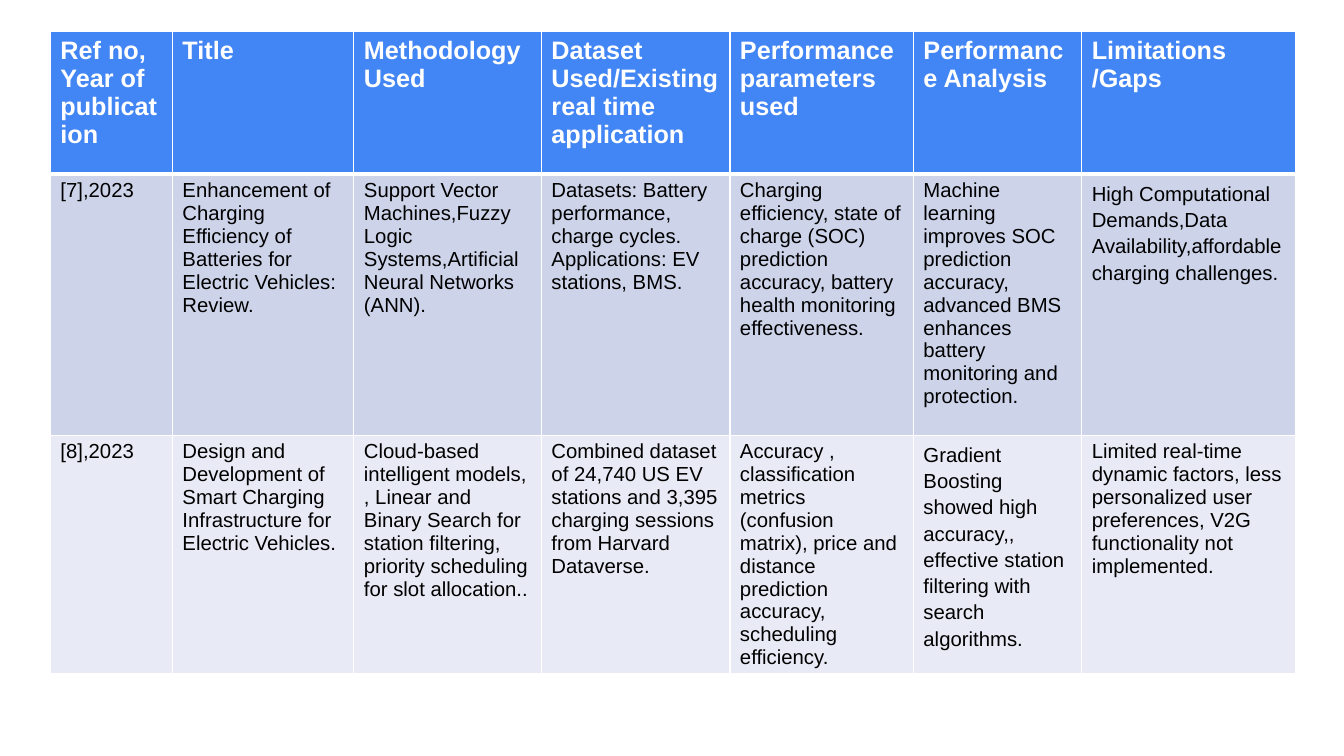
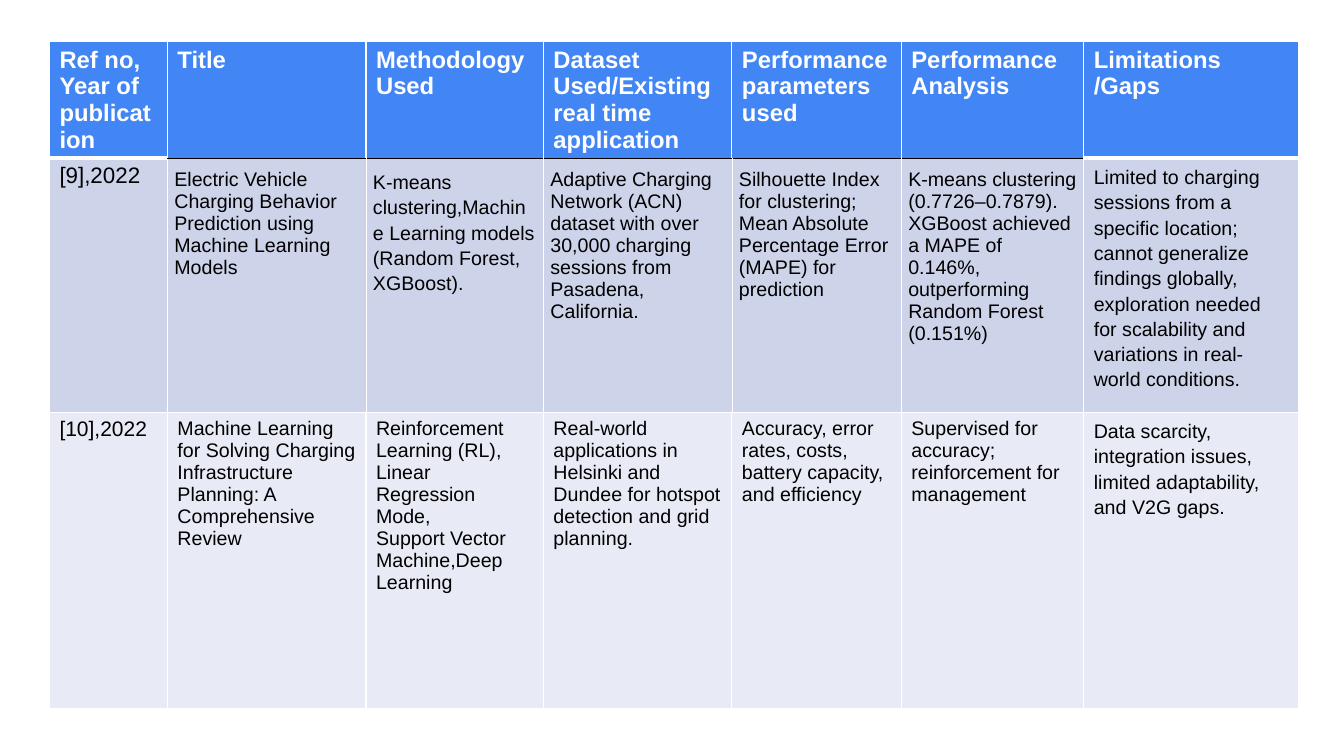
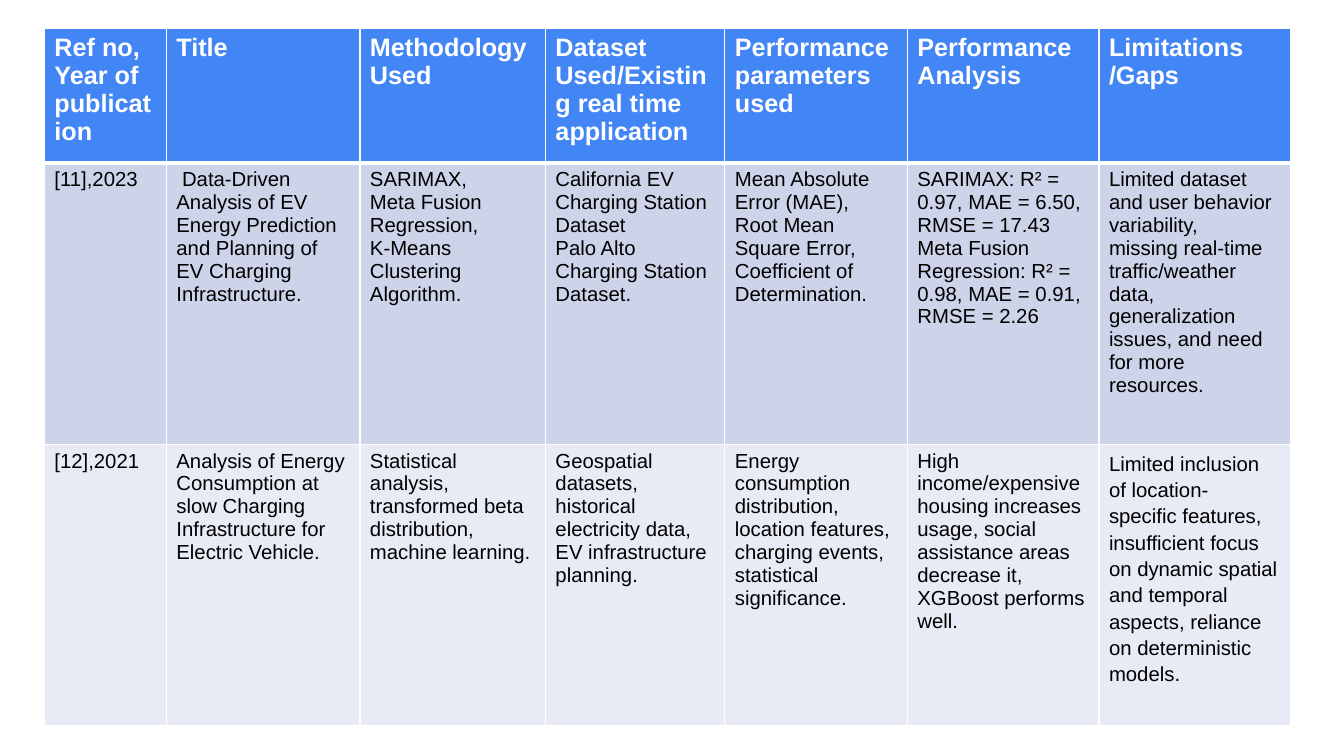
from dataclasses import dataclass

from pptx import Presentation
from pptx.dml.color import RGBColor
from pptx.oxml.ns import qn
from pptx.util import Inches, Pt
from lxml.etree import SubElement

COLORS = {
    "header": "4285F4",
    "odd_row": "CDD4EA",
    "even_row": "E8EBF5",
    "white": "FFFFFF",
    "black": "000000",
}
FONT = "Arial"
ROW_FILLS = ("header", "odd_row", "even_row")
HEADINGS = (
    "Ref no, Year of publication",
    "Title",
    "Methodology Used",
    "Dataset Used/Existing real time application",
    "Performance parameters used",
    "Performance Analysis",
    "Limitations /Gaps",
)
THIN, HAIR, THICK = ("white", 1), ("white", 0.6), ("white", 3)
DARK = ("black", 0.6)
NORMAL_INSET, PADDED_INSET = (0.1, 0.05), (0.07, 0.1)


@dataclass
class Entry:
    """Cell text, one line per paragraph, with its departures from the table style."""
    text: str
    loose: bool = False
    padded: bool = False
    size: float = 0


@dataclass
class Review:
    """One slide's table: place, grid and the papers it reviews."""
    left: float
    top: float
    columns: tuple
    rows: tuple
    heading_size: float
    body_size: float
    papers: tuple


def loose(text, padded=False):
    return Entry(text, loose=True, padded=padded)


def padded(text):
    return Entry(text, padded=True)


REVIEWS = (
    Review(
        0.5, 0.31, (1.21, 1.8, 1.86, 1.87, 1.82, 1.67, 2.12), (1.42, 2.59, 2.36), 18, 14.5,
        (
            (
                "[7],2023",
                "Enhancement of Charging Efficiency of Batteries for Electric Vehicles: Review.",
                "Support Vector Machines,Fuzzy Logic Systems,Artificial Neural Networks (ANN).",
                "Datasets: Battery performance, charge cycles.\nApplications: EV stations, BMS.",
                "Charging efficiency, state of charge (SOC) prediction accuracy, "
                "battery health monitoring effectiveness.",
                "Machine learning improves SOC prediction accuracy, advanced BMS enhances "
                "battery monitoring and protection.",
                loose("High Computational Demands,Data Availability,affordable "
                      "charging challenges."),
            ),
            (
                "[8],2023",
                "Design and Development of Smart Charging Infrastructure for Electric Vehicles.",
                "Cloud-based intelligent models, , Linear and Binary Search for station "
                "filtering, priority scheduling for slot allocation..",
                "Combined dataset of 24,740 US EV stations and 3,395 charging sessions "
                "from Harvard Dataverse.",
                "Accuracy , classification metrics (confusion matrix), price and distance "
                "prediction accuracy, scheduling efficiency.",
                loose("Gradient Boosting showed high accuracy,, effective station "
                      "filtering with search algorithms."),
                "Limited real-time dynamic factors, less personalized user preferences, "
                "V2G functionality not implemented.",
            ),
        ),
    ),
    Review(
        0.49, 0.41, (1.17, 1.97, 1.76, 1.87, 1.68, 1.81, 2.13), (1.15, 2.52, 2.94), 17, 14,
        (
            (
                Entry("[9],2022", size=16),
                padded("Electric Vehicle Charging Behavior Prediction using "
                       "Machine Learning Models"),
                loose("K-means clustering,Machine Learning models (Random Forest, XGBoost).",
                      padded=True),
                padded("Adaptive Charging Network (ACN) dataset with over 30,000 charging "
                       "sessions from Pasadena, California."),
                padded("Silhouette Index for clustering; Mean Absolute Percentage Error "
                       "(MAPE) for prediction"),
                padded("K-means clustering (0.7726–0.7879). XGBoost achieved a MAPE of "
                       "0.146%, outperforming Random Forest (0.151%)"),
                loose("Limited to charging sessions from a specific location; cannot "
                      "generalize findings globally, exploration needed for scalability "
                      "and variations in real-world conditions."),
            ),
            (
                Entry("[10],2022", size=15),
                "Machine Learning for Solving Charging Infrastructure Planning: "
                "A Comprehensive Review",
                "Reinforcement Learning (RL),\nLinear Regression Mode,\n"
                "Support Vector Machine,Deep Learning",
                "Real-world applications in Helsinki and Dundee for hotspot detection "
                "and grid planning.",
                "Accuracy, error rates, costs, battery capacity, and efficiency",
                "Supervised for accuracy; reinforcement for management",
                loose("Data scarcity, integration issues, limited adaptability, and V2G gaps."),
            ),
        ),
    ),
    Review(
        0.44, 0.28, (1.21, 1.92, 1.84, 1.78, 1.81, 1.9, 1.9), (1.34, 2.79, 2.79), 18, 14.5,
        (
            (
                "[11],2023",
                " Data-Driven Analysis of EV Energy Prediction and Planning of "
                "EV Charging Infrastructure.",
                "SARIMAX,\nMeta Fusion Regression,\nK-Means Clustering Algorithm.",
                "California EV Charging Station Dataset\nPalo Alto Charging Station Dataset.",
                "Mean Absolute Error (MAE),\nRoot Mean Square Error,\n"
                "Coefficient of Determination.",
                "SARIMAX: R² = 0.97, MAE = 6.50, RMSE = 17.43\n"
                "Meta Fusion Regression: R² = 0.98, MAE = 0.91, RMSE = 2.26",
                "Limited dataset and user behavior variability,\n"
                "missing real-time traffic/weather data, generalization issues, "
                "and need for more resources.",
            ),
            (
                "[12],2021",
                "Analysis of Energy Consumption at slow Charging Infrastructure for "
                "Electric Vehicle.",
                "Statistical analysis, transformed beta distribution, machine learning.",
                "Geospatial datasets, historical electricity data, "
                "EV infrastructure planning.",
                "Energy consumption distribution, location features, charging events, "
                "statistical significance.",
                "High income/expensive housing increases usage, social assistance areas "
                "decrease it, XGBoost performs well.",
                loose("Limited inclusion of location- specific features, insufficient focus "
                      "on dynamic spatial and temporal aspects, reliance on "
                      "deterministic models."),
            ),
        ),
    ),
)


def set_borders(cell, left, right, top, bottom):
    properties = cell._tc.get_or_add_tcPr()
    for side, (color, width) in zip("LRTB", (left, right, top, bottom)):
        line = SubElement(properties, qn(f"a:ln{side}"), w=str(Pt(width)))
        fill = SubElement(line, qn("a:solidFill"))
        SubElement(fill, qn("a:srgbClr"), val=COLORS[color])


def write_cell(cell, entry, size, color, bold):
    across, down = PADDED_INSET if entry.padded else NORMAL_INSET
    cell.margin_left = cell.margin_right = Inches(across)
    cell.margin_top = cell.margin_bottom = Inches(down)
    frame = cell.text_frame
    for index, text in enumerate(entry.text.split("\n")):
        para = frame.add_paragraph() if index else frame.paragraphs[0]
        if entry.loose:
            para.line_spacing = 1.15
        span = para.add_run()
        span.text = text
        span.font.name = FONT
        span.font.size = Pt(entry.size or size)
        span.font.bold = bold
        span.font.color.rgb = RGBColor.from_string(COLORS[color])


def cell_borders(is_header, entry, entry_below):
    """Left, right, top and bottom lines; padded cells have a dark line above them."""
    if is_header:
        return THIN, THIN, THIN, DARK if entry_below.padded else THICK
    if entry.padded:
        return HAIR, HAIR, DARK, HAIR
    return THIN, THIN, THICK if entry_below else THIN, THIN


def add_review_table(page, review):
    grid = [[item if isinstance(item, Entry) else Entry(item) for item in row]
            for row in (HEADINGS, *review.papers)]
    table = page.shapes.add_table(
        len(review.rows), len(review.columns), Inches(review.left), Inches(review.top),
        Inches(sum(review.columns)), Inches(sum(review.rows))).table
    table.horz_banding = False
    for column, width in zip(table.columns, review.columns):
        column.width = Inches(width)
    for row, height in zip(table.rows, review.rows):
        row.height = Inches(height)
    for row_index, entries in enumerate(grid):
        is_header = row_index == 0
        size = review.heading_size if is_header else review.body_size
        for column_index, entry in enumerate(entries):
            cell = table.cell(row_index, column_index)
            is_last = row_index == len(grid) - 1
            entry_below = None if is_last else grid[row_index + 1][column_index]
            set_borders(cell, *cell_borders(is_header, entry, entry_below))
            cell.fill.solid()
            cell.fill.fore_color.rgb = RGBColor.from_string(COLORS[ROW_FILLS[row_index]])
            write_cell(cell, entry, size, "white" if is_header else "black", is_header)


def main():
    deck = Presentation()
    deck.slide_width, deck.slide_height = Inches(13.33), Inches(7.5)
    blank_layout = deck.slide_layouts[6]
    for review in REVIEWS:
        add_review_table(deck.slides.add_slide(blank_layout), review)
    deck.save("out.pptx")


if __name__ == "__main__":
    main()
